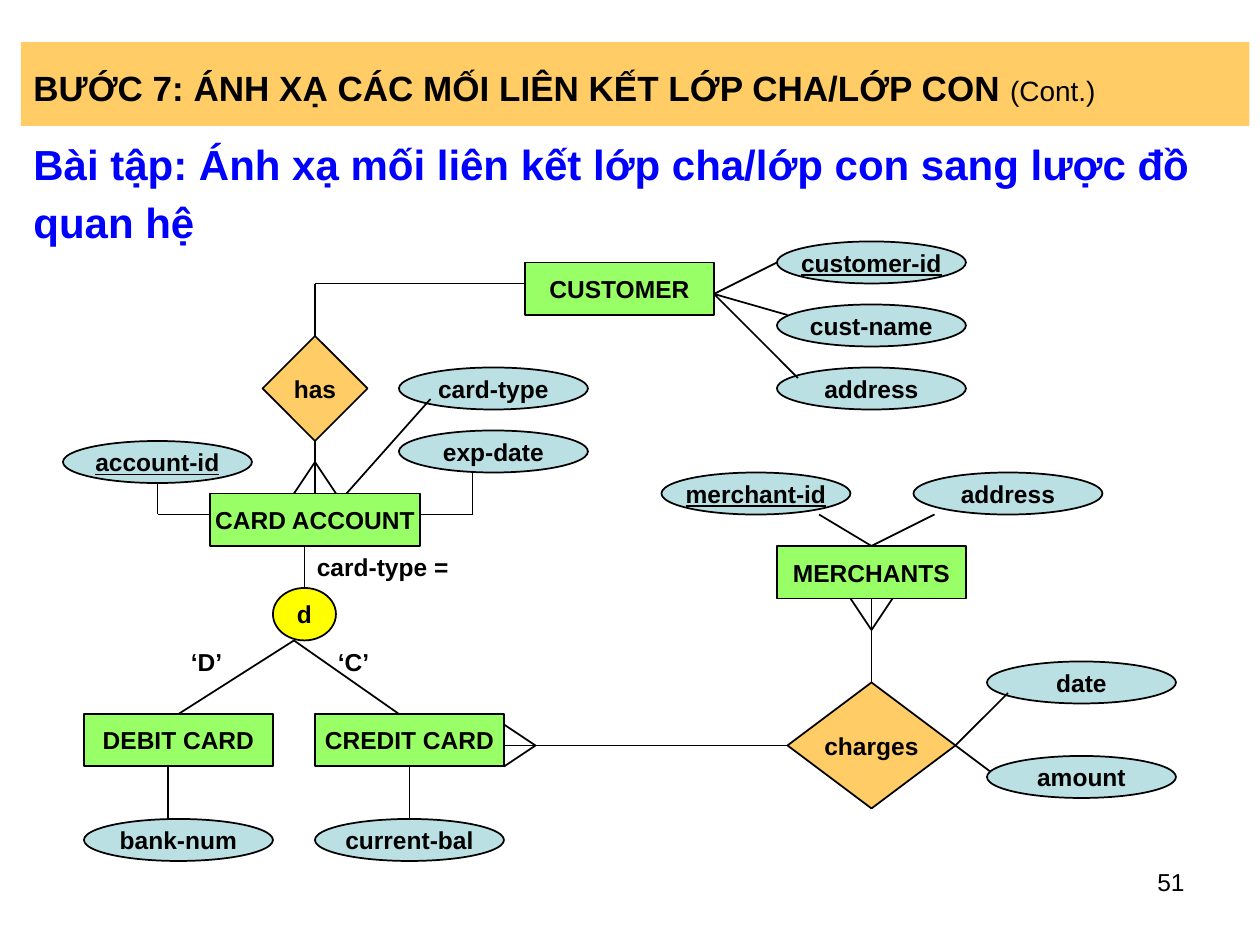
from itertools import pairwise

from lxml.etree import SubElement
from pptx import Presentation
from pptx.dml.color import RGBColor
from pptx.enum.shapes import MSO_CONNECTOR, MSO_SHAPE as SHAPE
from pptx.enum.text import MSO_ANCHOR as ANCHOR, PP_ALIGN as ALIGN
from pptx.oxml.ns import qn
from pptx.util import Inches, Pt

CELL = 1 / 12  # the slide is a grid of 120 columns by 90 rows
COLORS = {"black": "000000", "blue": "0000FF", "orange": "FFCC66",
          "green": "99FF66", "aqua": "BBE0E3", "yellow": "FFFF00"}

# kind: preset shape, fill, default width and height in cells
KINDS = {
    "entity": (SHAPE.RECTANGLE, "green", 18, 5),
    "attribute": (SHAPE.OVAL, "aqua", 18, 4),
    "relation": (SHAPE.DIAMOND, "orange", 10, 10),
    "disjoint": (SHAPE.OVAL, "yellow", 6, 5),
}
KEYS = {"customer-id", "merchant-id", "account-id"}

# kind, text, column, row, then width and height where they differ
BACK_NODES = [
    ("entity", "CUSTOMER", 50, 25),
    ("attribute", "customer-id", 74, 23),
    ("attribute", "cust-name", 74, 29),
    ("attribute", "address", 74, 35),
    ("relation", "has", 25, 32),
    ("attribute", "card-type", 38, 35),
    ("attribute", "exp-date", 38, 41),
    ("entity", "MERCHANTS", 74, 52),
    ("attribute", "merchant-id", 63, 45),
    ("attribute", "address", 87, 45),
    ("disjoint", "d", 26, 56),
    ("entity", "DEBIT CARD", 8, 68),
    ("attribute", "bank-num", 8, 78),
    ("entity", "CREDIT CARD", 30, 68),
    ("attribute", "current-bal", 30, 78),
    ("relation", "charges", 75, 65, 16, 12),
    ("attribute", "date", 94, 63),
]
FRONT_NODES = [
    ("attribute", "account-id", 6, 42),
    ("entity", "CARD ACCOUNT", 20, 47, 20, 5),
    ("attribute", "amount", 94, 72),
]
LABELS = [("card-type =", 29, 52, 24, 4), ("‘D’", 17, 61, 7, 4), ("‘C’", 31, 61, 7, 4)]

# each path is a run of (column, row) points
PATHS = [
    [(50, 27), (30, 27), (30, 32)],               # customer to has
    [(30, 42), (30, 47)],                         # has to card account
    [(28, 47), (30, 44), (32, 47)],               # crow's foot
    [(68, 28), (74, 25)],                         # customer attributes
    [(68, 28), (75, 30)],
    [(68, 28), (76, 36)],
    [(33, 47), (41, 38)],                         # card account attributes
    [(38, 49), (45, 49), (45, 45)],
    [(20, 49), (15, 49), (15, 46)],
    [(29, 52), (29, 56)],                         # specialisation
    [(17, 68), (28, 61), (38, 68)],
    [(16, 73), (16, 78)],                         # debit and credit attributes
    [(39, 73), (39, 78)],
    [(48, 71), (75, 71)],                         # credit card to charges
    [(48, 69), (51, 71), (48, 73)],               # crow's foot
    [(67, 68), (67, 68)],                         # single dot
    [(83, 65), (83, 57)],                         # charges to merchants
    [(81, 57), (83, 60), (85, 57)],               # crow's foot
    [(78, 49), (83, 52), (89, 49)],               # merchant attributes
    [(96, 66), (91, 71), (95, 74)],               # charges attributes
]


def rgb(name):
    return RGBColor.from_string(COLORS[name])


def cells(*values):
    return [Inches(v * CELL) for v in values]


def write(sp, *runs, size=14, color="black", bold=True, underline=False,
          align=ALIGN.LEFT, anchor=ANCHOR.MIDDLE, wrap=False, spacing=None):
    """Fill a shape with one paragraph; a run is a text or a (text, size, bold)."""
    tf = sp.text_frame
    tf.word_wrap = wrap
    tf.vertical_anchor = anchor
    p = tf.paragraphs[0]
    p.alignment = align
    if spacing:
        p.line_spacing = spacing
    for run in runs:
        text, run_size, run_bold = (run, size, bold) if isinstance(run, str) else run
        r = p.add_run()
        r.text = text
        r.font.name = "Arial"
        r.font.size = Pt(run_size)
        r.font.bold = run_bold
        r.font.underline = underline
        r.font.color.rgb = rgb(color)


def add_filled(s, preset, fill, box, outline=True):
    sp = s.shapes.add_shape(preset, *cells(*box))
    sp.shadow.inherit = False
    sp.fill.solid()
    sp.fill.fore_color.rgb = rgb(fill)
    if outline:
        sp.line.color.rgb = rgb("black")
        sp.line.width = Pt(1)
    else:
        sp.line.fill.background()
    return sp


def add_nodes(s, nodes):
    for kind, text, col, row, *size in nodes:
        preset, fill, *default = KINDS[kind]
        sp = add_filled(s, preset, fill, (col, row, *(size or default)))
        write(sp, text, align=ALIGN.CENTER, underline=text in KEYS)


def add_path(s, points):
    for start, end in pairwise(points):
        line = s.shapes.add_connector(MSO_CONNECTOR.STRAIGHT, *cells(*start, *end))
        line.line.color.rgb = rgb("black")
        line.line.width = Pt(1)
        SubElement(line._element.spPr, qn("a:effectLst"))


def main():
    prs = Presentation()
    prs.slide_width, prs.slide_height = cells(120, 90)
    s = prs.slides.add_slide(prs.slide_layouts[6])

    title = add_filled(s, SHAPE.RECTANGLE, "orange", (2, 4, 117, 8), outline=False)
    write(title, "BƯỚC 7: ÁNH XẠ CÁC MỐI LIÊN KẾT LỚP CHA/LỚP CON ",
          ("(Cont.)", 16, False), size=20, wrap=True, spacing=1.15)
    task = s.shapes.add_textbox(*cells(2, 14, 117, 8))
    write(task, "Bài tập: Ánh xạ mối liên kết lớp cha/lớp con sang lược đồ quan hệ",
          size=24, color="blue", wrap=True, spacing=1.15)

    add_nodes(s, BACK_NODES)
    for text, *box in LABELS:
        write(s.shapes.add_textbox(*cells(*box)), text)
    for points in PATHS:
        add_path(s, points)
    add_nodes(s, FRONT_NODES)

    number = s.shapes.add_textbox(*cells(86, 82, 28, 6.25))
    write(number, "51", bold=False, align=ALIGN.RIGHT, anchor=ANCHOR.TOP, wrap=True)
    prs.save("out.pptx")


if __name__ == "__main__":
    main()
